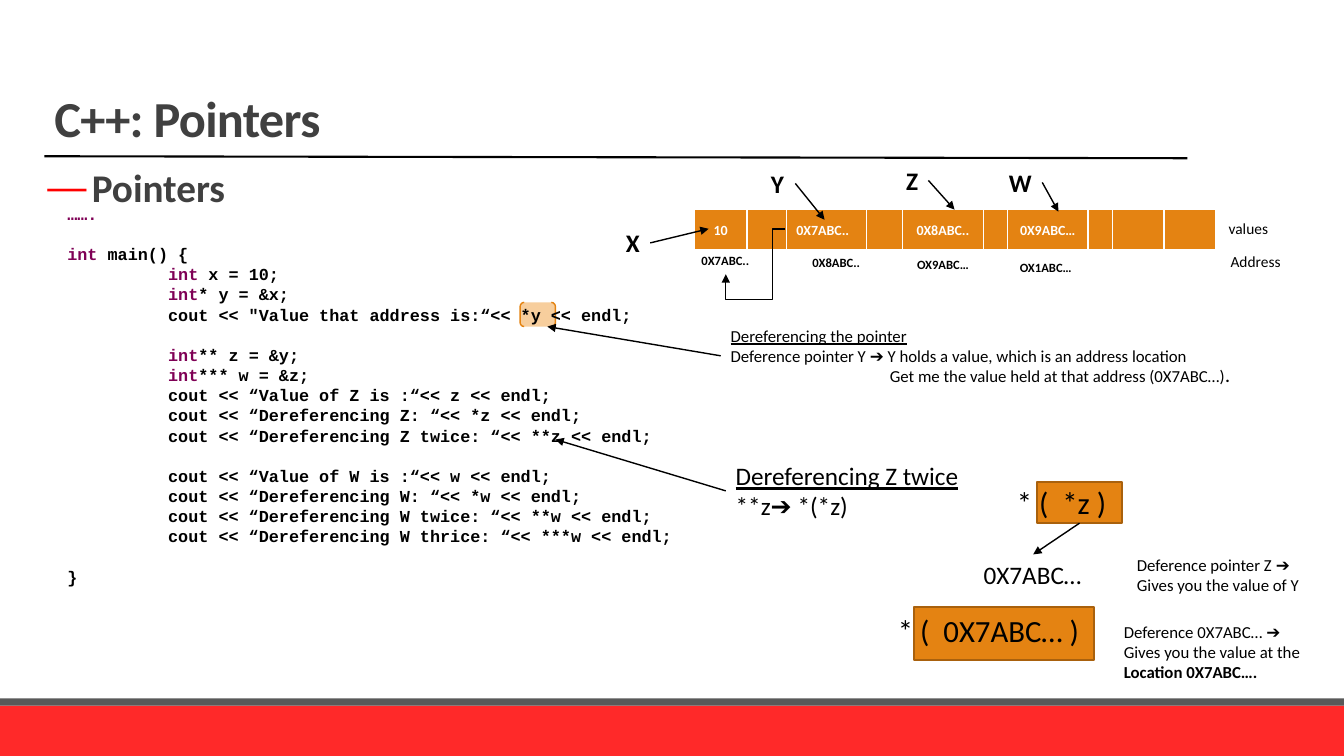
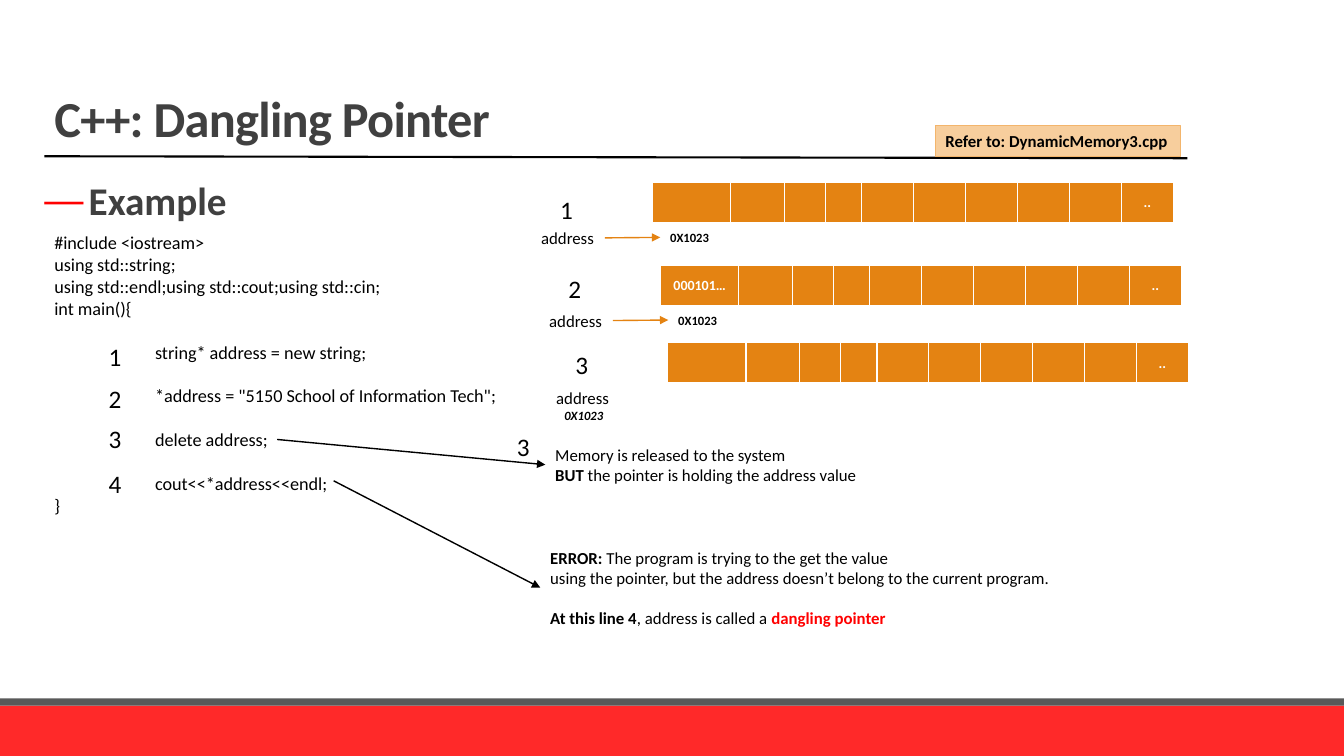
from lxml.etree import SubElement
from pptx import Presentation
from pptx.dml.color import RGBColor
from pptx.enum.shapes import MSO_CONNECTOR as Connector, MSO_SHAPE as Preset
from pptx.enum.text import MSO_ANCHOR as Anchor, MSO_AUTO_SIZE as AutoSize, PP_ALIGN as Align
from pptx.oxml.ns import qn
from pptx.util import Inches, Pt

BLACK, WHITE, GREY, DARK = "000000", "FFFFFF", "404040", "595959"
RED, BAND_RED, ORANGE, BROWN = "FF0000", "FF2929", "E48312", "A9610D"
PEACH, PEACH_EDGE, KEYWORD = "F7CE9D", "F3B56C", "7F0055"
FONT, CODE_FONT = "Calibri", "Courier New"
LINE_HEIGHT = 1.2
BOLD = {"bold": True}


def color(hex_value):
    return RGBColor.from_string(hex_value)


def grid(*cells):
    """Turn columns or rows, a tenth of an inch each, into slide lengths."""
    return [Inches(cell / 10) for cell in cells]


def add_xml(parent, tag, **attributes):
    return SubElement(parent, qn(tag), attributes)


def style_run(run, size, hex_value=BLACK, font=FONT, bold=False, italic=False, underline=False, spacing=0):
    run.font.name, run.font.size = font, Pt(size)
    run.font.bold, run.font.italic, run.font.underline = bold, italic, underline
    run.font.color.rgb = color(hex_value)
    if spacing:
        run.font._element.set("spc", str(int(spacing * 100)))


def write(text_frame, lines, size, exact=False, **style):
    """Write lines of text or (text, changes) runs; None leaves one line of space."""
    gap, paragraph = 0, None
    for line in lines:
        if line is None:
            gap += size * LINE_HEIGHT
            continue
        paragraph = text_frame.add_paragraph() if paragraph else text_frame.paragraphs[0]
        runs = [(line, {})] if isinstance(line, str) else line
        if runs[0][0].startswith("\t"):
            tabs = add_xml(paragraph._p.get_or_add_pPr(), "a:tabLst")
            add_xml(tabs, "a:tab", pos=str(Inches(1)), algn="l")
        paragraph.alignment = Align.LEFT
        if gap:
            paragraph.space_before = Pt(gap)
            gap = 0
        if exact:
            paragraph.line_spacing = Pt(size * LINE_HEIGHT)
        for text, changes in runs:
            run = paragraph.add_run()
            run.text = text
            style_run(run, size, **{**style, **changes})


def highlight(line):
    """Split a line of code so that a leading type name gets its own colour."""
    before, keyword, after = (line or "").partition("int")
    if not keyword:
        return line
    return [(before + keyword, {"hex_value": KEYWORD}), (after, {})]


class Deck:
    def __init__(self):
        self.presentation = Presentation()
        self.presentation.slide_width, self.presentation.slide_height = grid(133.33, 75)
        self.layout = self.presentation.slide_layouts[1]
        self.slide = None

    def start_slide(self, title, heading, heading_place, line_spacing):
        self.slide = self.presentation.slides.add_slide(self.layout)
        if len(self.presentation.slides) == 1:
            self.furnish_layout()
        title_shape, body = self.slide.placeholders
        self.place(title_shape, 4.4, 0, 113.3, 15.2)
        frame = title_shape.text_frame
        frame.text, frame.vertical_anchor, frame.auto_size = title, Anchor.BOTTOM, AutoSize.NONE
        paragraph = frame.paragraphs[0]
        paragraph.alignment, paragraph.line_spacing = Align.LEFT, 0.85
        style_run(paragraph.runs[0], 36, GREY, bold=True, spacing=-0.5)

        self.place(body, *heading_place)
        frame = body.text_frame
        frame.text, frame.auto_size = heading, AutoSize.NONE
        frame.margin_left = frame.margin_right = 0
        paragraph = frame.paragraphs[0]
        properties = paragraph._p.get_or_add_pPr()
        indent = Inches(0.44)
        properties.set("marL", str(indent))
        properties.set("indent", str(-indent))
        add_xml(add_xml(properties, "a:buClr"), "a:srgbClr", val=RED)
        add_xml(properties, "a:buChar", char="—")
        paragraph.line_spacing = line_spacing
        paragraph.space_before, paragraph.space_after = Pt(0), Pt(6)
        style_run(paragraph.runs[0], 28, GREY, bold=True)

    def furnish_layout(self):
        """Draw the bands and the title rule, then hand them to the layout."""
        parts = [self.box(0, 70, 133.33, 5, BAND_RED),
                 self.box(0, 69.3, 133.33, 0.7, DARK),
                 self.line((4.4, 15.5), (117.8, 15.7), width=1.5)]
        for number, part in enumerate(parts, 100):
            part.element.xpath(".//p:cNvPr")[0].set("id", str(number))
            self.layout.shapes.element.append(part.element)

    def place(self, shape, *cells):
        shape.left, shape.top, shape.width, shape.height = grid(*cells)

    def box(self, left, top, width, height, fill, edge=None, edge_width=1.25, preset=Preset.RECTANGLE):
        shape = self.slide.shapes.add_shape(preset, *grid(left, top, width, height))
        shape.shadow.inherit = False
        shape.fill.solid()
        shape.fill.fore_color.rgb = color(fill)
        if edge:
            shape.line.color.rgb, shape.line.width = color(edge), Pt(edge_width)
        else:
            shape.line.fill.background()
        return shape

    def label(self, left, top, width, lines, size, wrap=False, **style):
        """Add a text box as high as its lines."""
        lines = [lines] if isinstance(lines, str) else lines
        height = 1 + len(lines) * size * LINE_HEIGHT / 7.2
        shape = self.slide.shapes.add_textbox(*grid(left, top, width, height))
        shape.text_frame.word_wrap = wrap
        shape.text_frame.auto_size = AutoSize.SHAPE_TO_FIT_TEXT
        write(shape.text_frame, lines, size, **style)
        return shape

    def line(self, begin, end, hex_value=BLACK, width=1, kind=Connector.STRAIGHT):
        """Join two spots, each an (x, y) point or a (shape, side) pair."""
        joined = [not isinstance(spot[0], (int, float)) for spot in (begin, end)]
        points = [(0, 0) if is_joined else spot for spot, is_joined in zip((begin, end), joined)]
        connector = self.slide.shapes.add_connector(kind, *grid(*points[0], *points[1]))
        if joined[0]:
            connector.begin_connect(*begin)
        if joined[1]:
            connector.end_connect(*end)
        connector.line.color.rgb, connector.line.width = color(hex_value), Pt(width)
        add_xml(connector.element.spPr, "a:effectLst")
        return connector

    def arrow(self, begin, end, **style):
        connector = self.line(begin, end, **style)
        add_xml(connector.line._get_or_add_ln(), "a:tailEnd", type="triangle")
        return connector

    def bent_arrow(self, begin, end, across, down):
        """Add a four-part elbow; across and down are its bends in 1/1000 of its size."""
        connector = self.arrow(begin, end, kind=Connector.ELBOW)
        properties = connector.element.spPr
        frame = properties.find(qn("a:xfrm"))
        frame.attrib.pop("flipH", None)
        frame.set("rot", "10800000")
        frame.set("flipV", "1")
        geometry = properties.find(qn("a:prstGeom"))
        geometry.set("prst", "bentConnector4")
        for old in list(geometry):
            geometry.remove(old)
        adjustments = add_xml(geometry, "a:avLst")
        for number, value in enumerate((across, down), 1):
            add_xml(adjustments, "a:gd", name=f"adj{number}", fmla=f"val {value * 100}")

    def memory(self, left, top, widths, values, left_aligned=()):
        """Add a one-row table of memory cells; values maps a column to its text."""
        frame = self.slide.shapes.add_table(1, len(widths), *grid(left, top, sum(widths), 4.1))
        table = frame.table
        table.first_row = table.horz_banding = False
        for index, width in enumerate(widths):
            table.columns[index].width = grid(width)[0]
            cell = table.cell(0, index)
            properties = cell._tc.get_or_add_tcPr()
            for side, points in (("L", 1), ("R", 1), ("T", 1), ("B", 3)):
                border = add_xml(properties, f"a:ln{side}", w=str(Pt(points)))
                add_xml(add_xml(border, "a:solidFill"), "a:srgbClr", val=WHITE)
            cell.fill.solid()
            cell.fill.fore_color.rgb = color(ORANGE)
            cell.vertical_anchor = Anchor.MIDDLE
            if index in values:
                write(cell.text_frame, [values[index]], 10, hex_value=WHITE, bold=True)
                if index not in left_aligned:
                    cell.text_frame.paragraphs[0].alignment = Align.CENTER


def pointers_slide(deck):
    deck.start_slide("C++: Pointers", "Pointers", (4.7, 15.7, 63.3, 6.6), 1.0)
    deck.memory(68.9, 20.8, [5.2, 3.9, 8, 3.55, 8, 2.3, 8, 2.3, 5.15, 5.15],
                {0: "10", 2: "0X7ABC..", 4: "0X8ABC..", 6: "0X9ABC…"}, left_aligned=[2])
    for left, top, width, address in ((68.6, 24.6, 6.8, "0X7ABC.."), (79.6, 24.8, 6.8, "0X8ABC.."),
                                      (90, 25, 7.3, "OX9ABC…"), (100.2, 25.3, 7.3, "OX1ABC…")):
        deck.label(left, top, width, address, 9, bold=True)
    for name, left, top, width, target in (("X", 61.1, 22.1, 3.4, (70.3, 22.7)),
                                           ("Y", 75.5, 16.2, 3.4, (81.8, 21.8)),
                                           ("Z", 88.9, 15.9, 3.2, (94.7, 20.8)),
                                           ("W", 99.1, 16.1, 4.3, (105, 21))):
        variable = deck.label(left, top, width, name, 18, bold=True)
        deck.arrow((variable, 3), target)
    deck.bent_arrow((77.9, 22.7), (72, 27.2), 213, 1564)
    deck.label(120.9, 21.2, 6, "values", 11)
    deck.label(121.1, 24.5, 7, "Address", 11)

    deck.box(51.6, 30, 3.5, 2.4, PEACH, ORANGE, 1, Preset.DOUBLE_BRACKET)
    code = ["…….", None, "int main() {", "\tint x = 10;", "\tint* y = &x;",
            "\tcout << \"Value that address is:“<< *y << endl;", None,
            "\tint** z = &y;", "\tint*** w = &z;",
            "\tcout << “Value of Z is :“<< z << endl;",
            "\tcout << “Dereferencing Z: “<< *z << endl;",
            "\tcout << “Dereferencing Z twice: “<< **z << endl;", None,
            "\tcout << “Value of W is :“<< w << endl;",
            "\tcout << “Dereferencing W: “<< *w << endl;",
            "\tcout << “Dereferencing W twice: “<< **w << endl;",
            "\tcout << “Dereferencing W thrice: “<< ***w << endl;", None, "}"]
    lines = [[(code[0], {"hex_value": KEYWORD})]] + [highlight(line) for line in code[1:]]
    deck.label(5.7, 19.7, 66.7, lines, 12, wrap=True, exact=True, font=CODE_FONT, bold=True)

    underlined = {"underline": True}
    once = deck.label(71.5, 31.8, 52.7, [
        [("Dereferencing the pointer", underlined)],
        "Deference pointer Y ➔ Y holds a value, which is an address location",
        [("Get me the value held at that address (0X7ABC…)", {}), (".", BOLD)]], 12)
    once.text_frame.paragraphs[2]._p.get_or_add_pPr().set("marL", str(Inches(1.58)))
    deck.arrow((once, 1), (54.3, 32.4))
    twice = deck.label(72, 45.2, 24.4, [[("Dereferencing Z twice", underlined)], "**z➔ *(*z)"], 18)
    deck.arrow((twice, 1), (55.1, 43.6))

    wide_space = (" ", {"spacing": 5})
    inner = deck.box(102.9, 47.8, 8.4, 4.1, ORANGE, BROWN)
    deck.label(99.9, 47.5, 11, [[("* (", {}), wide_space, ("*z )", {})]], 22)
    deck.arrow((inner, 2), (102.5, 55))
    deck.label(96.6, 55, 11.8, "0X7ABC…", 18)
    deck.label(111.8, 54.5, 18.3, ["Deference pointer Z ➔", "Gives you the value of Y"], 12)
    deck.box(90.7, 60.2, 17.8, 5.3, ORANGE, BROWN)
    deck.label(88.1, 60.2, 20.4, [[("* (", {}), wide_space, ("0X7ABC… )", {})]], 22)
    deck.label(110.5, 61.2, 20.1, ["Deference 0X7ABC… ➔", "Gives you the value at the",
                                   [("Location 0X7ABC….", BOLD)]], 12)


def dangling_slide(deck):
    deck.start_slide("C++: Dangling Pointer", "Example", (4.4, 17.5, 113.3, 5.4), 0.9)
    deck.label(4.4, 22.5, 66.7, [
        "#include <iostream>", "using std::string;",
        "using std::endl;using std::cout;using std::cin;", "int main(){", None,
        "\tstring* address = new string;", None,
        "\t*address = \"5150 School of Information Tech\";", None,
        "\tdelete address;", None, "\tcout<<*address<<endl;", "}"], 13, wrap=True)
    for step, top in enumerate((33.4, 37.5, 41.5, 46), 1):
        deck.label(9.8, top, 3.3, str(step), 18)

    widths = [7.8, 5.3, 4.1, 3.6] + [5.15] * 6
    for step, left, top, number_top in ((1, 64.7, 18.1, 18.8), (2, 65.5, 26.3, 26.6), (3, 66.2, 34, 34.2)):
        deck.memory(left, top, widths, {9: "..", 0: "000101…"} if step == 2 else {9: ".."})
        deck.label(left - 10.1, number_top, 3.3, str(step), 18)
        name = deck.label(left - 12, top + 4, 7.3, "address", 12)
        if step == 3:
            deck.label(left - 11.2, top + 6, 6.2, "0X1023", 9, bold=True, italic=True)
        else:
            value = deck.label(left + 0.8, top + 4.2, 6.2, "0X1023", 9, bold=True)
            deck.arrow((name, 3), (value, 1), hex_value=ORANGE)

    reference = deck.box(92.8, 12.5, 24.3, 3, PEACH, PEACH_EDGE, 0.75)
    reference.text_frame.word_wrap = False
    reference.text_frame.vertical_anchor = Anchor.TOP
    write(reference.text_frame, ["Refer to: DynamicMemory3.cpp"], 12, bold=True)

    deck.label(50.3, 42.3, 3.3, "3", 18)
    released = deck.label(54.1, 43.6, 32.2, [
        "Memory is released to the system",
        [("BUT", BOLD), (" the pointer is holding the address value", {})]], 12)
    deck.arrow((27.5, 43.6), (released, 1))
    error = deck.label(53.6, 53.8, 52, [
        [("ERROR: ", BOLD), ("The program is trying to the get the value", {})],
        "using the pointer, but the address doesn’t belong to the current program.", None,
        [("At this line 4", BOLD), (", address is called a ", {}),
         ("dangling pointer", {"bold": True, "hex_value": RED})]], 12)
    deck.arrow((33.1, 47.7), (error, 1))


def main():
    deck = Deck()
    pointers_slide(deck)
    dangling_slide(deck)
    deck.presentation.save("out.pptx")


if __name__ == "__main__":
    main()
